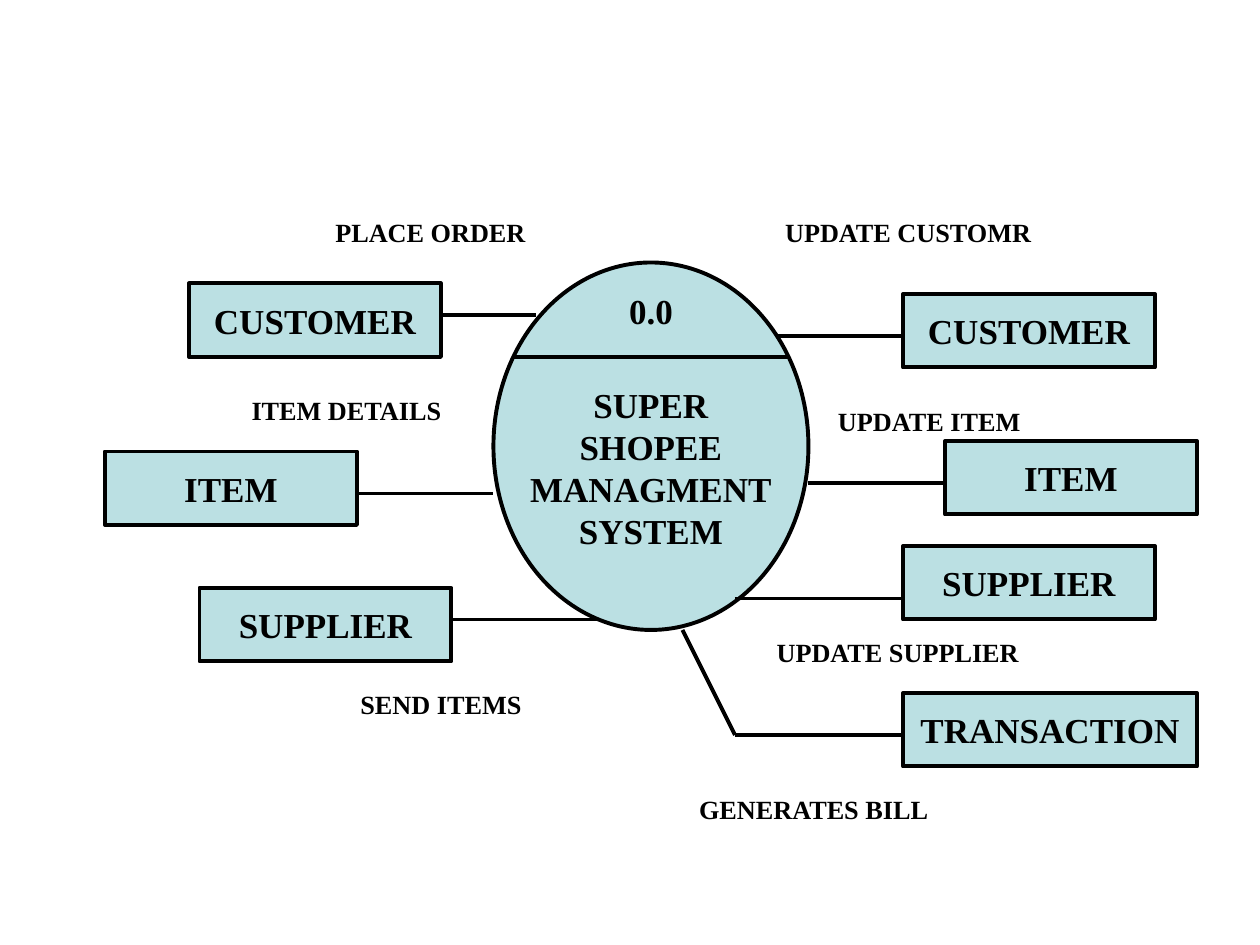
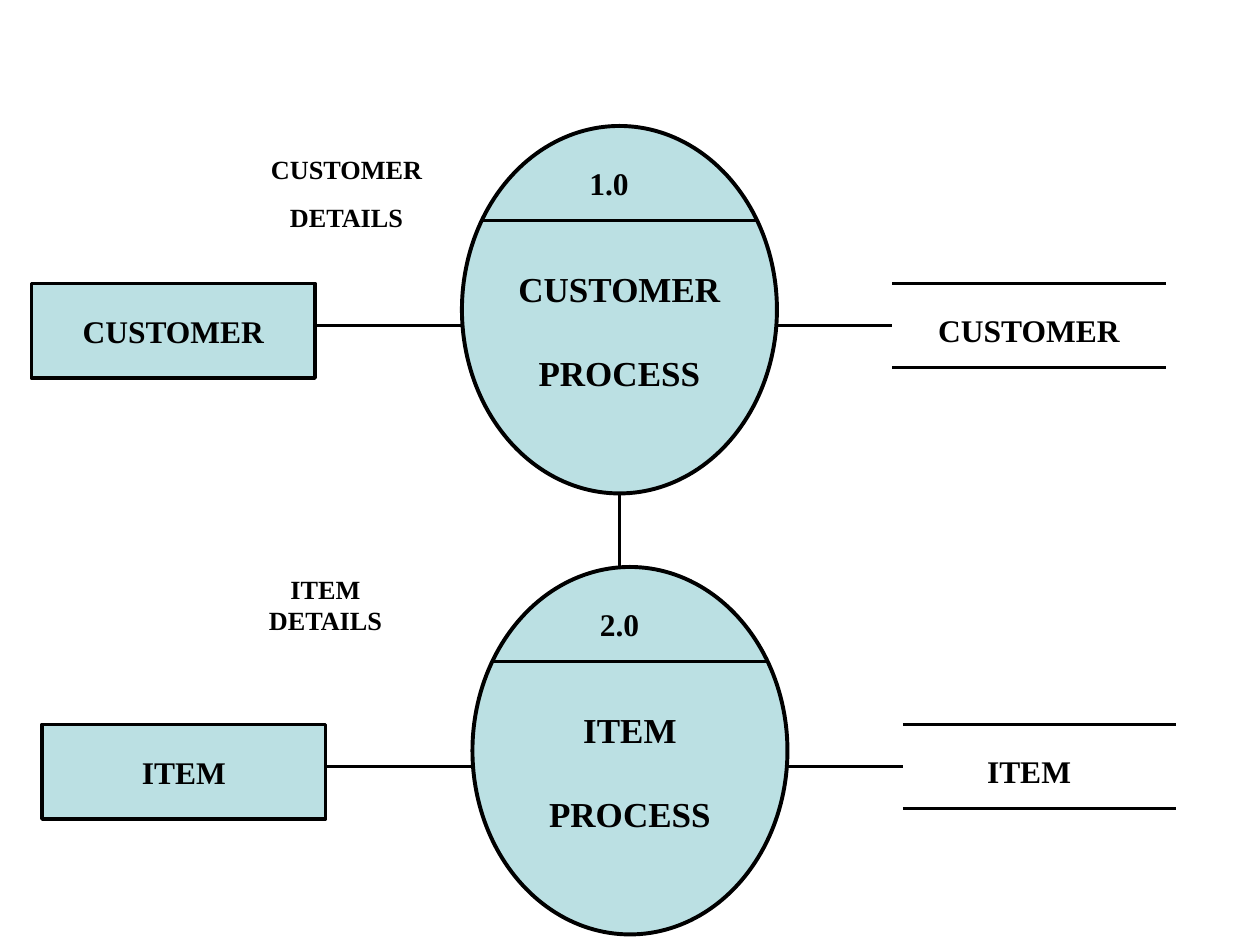
"""Build the context and first-level data flow diagrams of a shop system."""
from lxml.etree import SubElement
from pptx import Presentation
from pptx.dml.color import RGBColor
from pptx.enum.shapes import MSO_CONNECTOR, MSO_SHAPE
from pptx.enum.text import MSO_ANCHOR, PP_ALIGN
from pptx.oxml.ns import qn
from pptx.util import Pt

FONT = "Times New Roman"
INK = "000000"
PALE_TEAL = "BBE0E3"
LINE_WIDTH = 2.25
PROCESS_WIDTH, PROCESS_HEIGHT = 180, 210
STORE_WIDTH, STORE_HEIGHT = 156, 48


def color(hex_text):
    """Turn a hex string into a colour."""
    return RGBColor.from_string(hex_text)


def write_text(box, text, size=20, gap=0, inset_top=3.6, anchor=MSO_ANCHOR.TOP, wrap=True):
    """Write one centred bold paragraph per line of text."""
    frame = box.text_frame
    frame.word_wrap = wrap
    frame.vertical_anchor = anchor
    frame.margin_left = frame.margin_right = Pt(7.2)
    frame.margin_top, frame.margin_bottom = Pt(inset_top), Pt(3.6)
    for index, line in enumerate(text.split("\n")):
        para = frame.paragraphs[0] if index == 0 else frame.add_paragraph()
        para.alignment = PP_ALIGN.CENTER
        para.line_spacing = Pt(1.2 * size)
        para.space_before = Pt(gap if index else 0)
        span = para.add_run()
        span.text = line
        span.font.name = FONT
        span.font.size = Pt(size)
        span.font.bold = True
        span.font.color.rgb = color(INK)


def add_label(slide, text, left, top, width, size=15, height=25):
    """Add a free-standing label."""
    box = slide.shapes.add_textbox(Pt(left), Pt(top), Pt(width), Pt(height))
    write_text(box, text, size=size, gap=9.4)


def add_figure(slide, kind, left, top, width, height, text, **text_format):
    """Add an outlined shape with text in its middle."""
    figure = slide.shapes.add_shape(kind, Pt(left), Pt(top), Pt(width), Pt(height))
    figure.shadow.inherit = False
    figure.fill.solid()
    figure.fill.fore_color.rgb = color(PALE_TEAL)
    figure.line.color.rgb = color(INK)
    figure.line.width = Pt(LINE_WIDTH)
    write_text(figure, text, anchor=MSO_ANCHOR.MIDDLE, wrap=False, **text_format)


def add_entity(slide, text, left, top, width=144, height=42, size=20):
    """Add the rectangle of an external entity."""
    add_figure(slide, MSO_SHAPE.RECTANGLE, left, top, width, height, text, size=size)


def add_line(slide, start_x, start_y, end_x, end_y):
    """Draw a straight line without a shadow."""
    line = slide.shapes.add_connector(
        MSO_CONNECTOR.STRAIGHT, Pt(start_x), Pt(start_y), Pt(end_x), Pt(end_y))
    line.line.color.rgb = color(INK)
    line.line.width = Pt(LINE_WIDTH)
    SubElement(line._element.spPr, qn("a:effectLst"))


def add_process(slide, left, top, number, text, number_at, number_size, gap=0):
    """Add a process ellipse with its number above a dividing line."""
    add_figure(slide, MSO_SHAPE.OVAL, left, top, PROCESS_WIDTH, PROCESS_HEIGHT,
               text, gap=gap, inset_top=27.6)
    add_line(slide, left + 12, top + 54, left + PROCESS_WIDTH - 12, top + 54)
    across, down = number_at
    add_label(slide, number, left + across, top + down, 48, size=number_size, height=30)


def add_store(slide, text, left, top, label_left, label_width):
    """Add a data store: a name between two lines."""
    for line_top in (top, top + STORE_HEIGHT):
        add_line(slide, left, line_top, left + STORE_WIDTH, line_top)
    add_label(slide, text, label_left, top + 12, label_width, size=18, height=29)


def add_process_row(slide, name, number, left, top, label_left, label_width):
    """Add an entity, its process and its data store, joined by flows."""
    process_left, store_left, flow_top = left + 246, left + 492, top + 24
    add_process(slide, process_left, top - 90, number, f"{name}\nPROCESS",
                number_at=(60, 18), number_size=18, gap=24)
    add_entity(slide, name, left, top, width=162, height=54, size=18)
    add_store(slide, name, store_left, top, label_left, label_width)
    add_line(slide, left + 162, flow_top, process_left, flow_top)
    add_line(slide, process_left + PROCESS_WIDTH, flow_top, store_left, flow_top)


def build_context_diagram(slide):
    """Draw the whole system with its outside entities."""
    add_process(slide, 282, 150, "0.0", "SUPER\nSHOPEE\nMANAGMENT\nSYSTEM",
                number_at=(66, 12), number_size=20)
    for entity in (
        ("SUPPLIER", 114, 336),
        ("ITEM", 60, 258),
        ("CUSTOMER", 108, 162),
        ("CUSTOMER", 516, 168),
        ("ITEM", 540, 252),
        ("SUPPLIER", 516, 312),
        ("TRANSACTION", 516, 396, 168),
    ):
        add_entity(slide, *entity)
    for flow in (
        (258, 354, 342, 354),
        (204, 282, 282, 282),
        (252, 180, 306, 180),
        (444, 192, 516, 192),
        (462, 276, 540, 276),
        (420, 342, 516, 342),
        (420, 420, 516, 420),
        (420, 420, 390, 360),
    ):
        add_line(slide, *flow)
    for label in (
        ("PLACE ORDER", 174, 120, 144),
        ("UPDATE CUSTOMR", 426, 120, 186),
        ("SEND ITEMS", 180, 390, 144),
        ("ITEM DETAILS", 126, 222, 144),
        ("GENERATES BILL", 360, 450, 210),
        ("UPDATE ITEM", 432, 228, 198),
        ("UPDATE SUPPLIER", 414, 360, 198),
    ):
        add_label(slide, *label)


def build_first_level_diagram(slide):
    """Draw the customer and item processes with their stores."""
    add_process_row(slide, "CUSTOMER", "1.0", 18, 162, label_left=516, label_width=144)
    add_process_row(slide, "ITEM", "2.0", 24, 414, label_left=522, label_width=132)
    add_line(slide, 354, 282, 354, 324)
    add_label(slide, "CUSTOMER\nDETAILS", 138, 84, 120, height=53)
    add_label(slide, "ITEM DETAILS", 126, 324, 120, height=43)


def main():
    """Build both slides and save the deck."""
    deck = Presentation()
    deck.slide_width, deck.slide_height = Pt(720), Pt(540)
    blank_layout = deck.slide_layouts[6]
    for build in (build_context_diagram, build_first_level_diagram):
        build(deck.slides.add_slide(blank_layout))
    deck.save("out.pptx")


if __name__ == "__main__":
    main()
